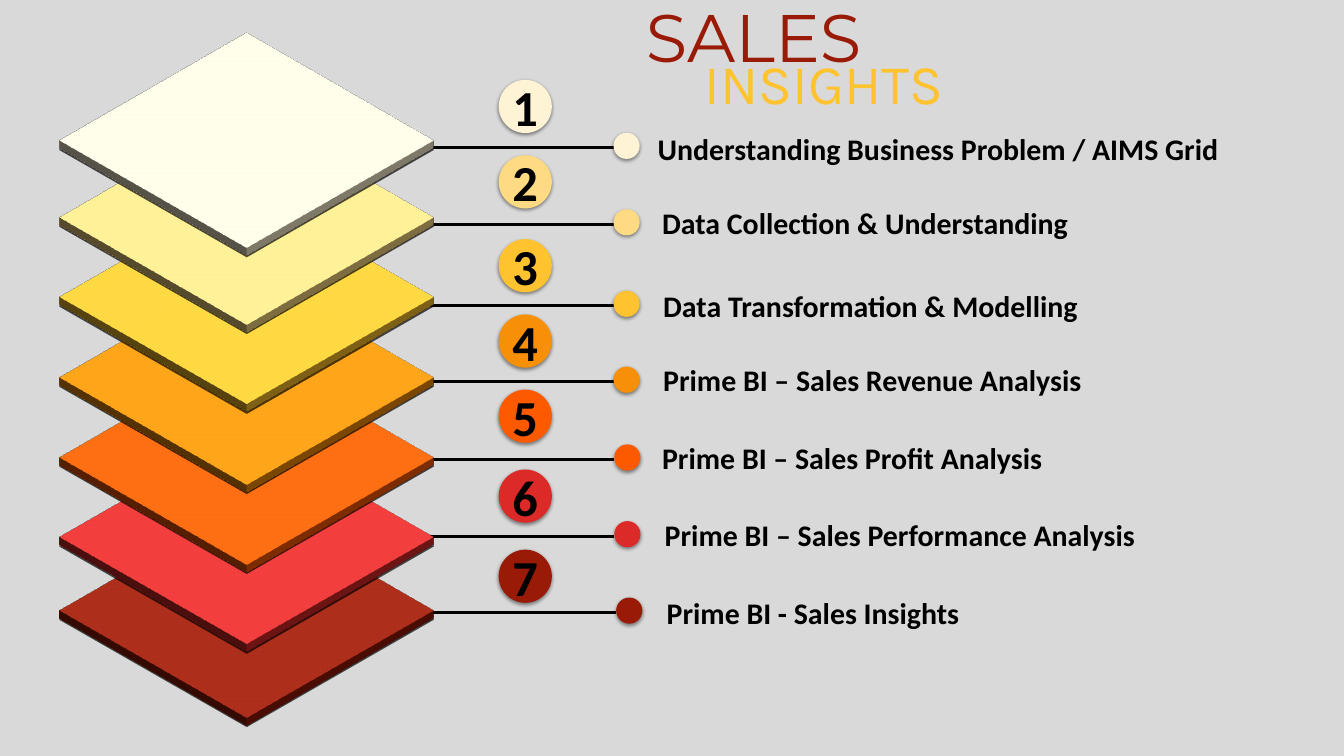
from dataclasses import dataclass
from lxml import etree
from pptx import Presentation
from pptx.dml.color import RGBColor
from pptx.enum.shapes import MSO_CONNECTOR, MSO_SHAPE
from pptx.enum.text import MSO_ANCHOR, MSO_AUTO_SIZE, PP_ALIGN
from pptx.oxml.ns import qn
from pptx.util import Cm, Pt

RECT, OVAL = MSO_SHAPE.RECTANGLE, MSO_SHAPE.OVAL
STRAIGHT = MSO_CONNECTOR.STRAIGHT
MIDDLE, CENTER = MSO_ANCHOR.MIDDLE, PP_ALIGN.CENTER
NO_FIT = MSO_AUTO_SIZE.NONE


@dataclass(frozen=True)
class Theme:
    back: str = "D9D9D9"
    ink: str = "000000"
    red: str = "981A07"
    gold: str = "FEC32E"
    body: str = "Calibri"
    label: int = 32
    number: int = 54
    sales: int = 72
    insights: int = 60


@dataclass(frozen=True)
class Step:
    """One layer of the stack; all lengths are in centimetres."""
    text: str
    color: str
    tile: float
    line: float
    dot: float
    badge: float
    left: float
    top: float
    width: float


THEME = Theme()
STEPS = [
    Step("Understanding Business Problem / AIMS Grid", "FFF3D5",
         0.3, 5.59, 23.19, 3.02, 23.77, 4.45, 23.39),
    Step("Data Collection & Understanding", "FEDB82",
         3.2, 8.48, 23.19, 5.87, 24.82, 7.26, 15.77),
    Step("Data Transformation & Modelling", THEME.gold,
         6.22, 11.56, 23.19, 9.04, 24.82, 10.39, 16.18),
    Step("Prime BI – Sales Revenue Analysis", "F79006",
         9.25, 14.43, 23.19, 11.89, 24.89, 13.21, 16.18),
    Step("Prime BI – Sales Profit Analysis", "FD5A00",
         12.27, 17.37, 23.22, 14.73, 25.07, 16.13, 14.3),
    Step("Prime BI – Sales Performance Analysis", "DC2A29",
         15.29, 20.27, 23.22, 17.75, 25.07, 19.05, 17.91),
    Step("Prime BI - Sales Insights", THEME.red,
         18.06, 23.16, 23.29, 20.78, 25.07, 22.0, 11.33),
]
EDGE = 15.8
TILE_X, TILE = 4.32, 10.01
BADGE_X, BADGE, NUMBER = 18.85, 2.01, 2.74
DOT, LABEL = 0.99, 2.31


def add_node(parent, tag: str, **attrs):
    return etree.SubElement(parent, qn(tag), attrs)


def add_shadow(effects, blur: int, dist: int, angle: int) -> None:
    """Blur and distance are in points, the angle in degrees."""
    node = add_node(effects, "a:outerShdw", blurRad=str(Pt(blur)),
                    dist=str(Pt(dist)), dir=str(angle * 60000),
                    algn="ctr", rotWithShape="0")
    color = add_node(node, "a:srgbClr", val=THEME.ink)
    add_node(color, "a:alpha", val="43000")


def add_shape(shapes, kind, x: float, y: float, size: float, color: str):
    shape = shapes.add_shape(kind, Cm(x), Cm(y), Cm(size), Cm(size))
    shape.fill.solid()
    shape.fill.fore_color.rgb = RGBColor.from_string(color)
    shape.line.fill.background()
    shape.shadow.inherit = False
    add_shadow(shape._element.spPr.find(qn("a:effectLst")), 4, 2, 90)
    return shape


def add_tile(shapes, step: Step) -> None:
    """Turn a square into a flat isometric slab."""
    props = add_shape(shapes, RECT, TILE_X, step.tile, TILE,
                      step.color)._element.spPr
    scene = add_node(props, "a:scene3d")
    add_node(scene, "a:camera", prst="isometricTopUp")
    add_node(scene, "a:lightRig", rig="threePt", dir="t")
    add_node(props, "a:sp3d", extrusionH=str(Cm(0.36)))


def add_line(shapes, step: Step) -> None:
    line = shapes.add_connector(STRAIGHT, Cm(EDGE), Cm(step.line),
                                Cm(step.dot), Cm(step.line))
    line.line.color.rgb = RGBColor.from_string(THEME.ink)
    line.line.width = Pt(3)
    add_node(line._element.spPr, "a:effectLst")


def set_text(box, text: str, font: str, size: int, color: str,
             bold: bool = False, wrap: bool = True) -> None:
    frame = box.text_frame
    frame.auto_size = NO_FIT
    frame.word_wrap = wrap
    frame.vertical_anchor = MIDDLE
    para = frame.paragraphs[0]
    para.alignment = CENTER
    para.add_run().text = text
    para.font.name, para.font.size, para.font.bold = font, Pt(size), bold
    para.font.color.rgb = RGBColor.from_string(color)


def add_text(shapes, text: str, x: float, y: float, width: float,
             height: float, size: int) -> None:
    """Add bold text with a soft shadow on its letters."""
    box = shapes.add_textbox(Cm(x), Cm(y), Cm(width), Cm(height))
    set_text(box, text, THEME.body, size, THEME.ink, True, False)
    frame = box.text_frame
    frame.margin_left = frame.margin_right = Cm(0.38)
    frame.margin_top = frame.margin_bottom = Cm(0.2)
    props = frame.paragraphs[0].runs[0]._r.get_or_add_rPr()
    add_shadow(add_node(props, "a:effectLst"), 4, 4, 45)


def add_badge(shapes, step: Step, number: int) -> None:
    group = shapes.add_group_shape().shapes
    add_shape(group, OVAL, BADGE_X, step.badge, BADGE, step.color)
    gap = (NUMBER - BADGE) / 2
    add_text(group, str(number), BADGE_X - gap, step.badge - gap,
             NUMBER, NUMBER, THEME.number)


def add_title(shapes) -> None:
    title = shapes.title
    title.left, title.top = Cm(19.48), Cm(-0.94)
    title.width, title.height = Cm(18.01), Cm(4.6)
    set_text(title, "SALES", "Montserrat", THEME.sales, THEME.red)
    box = shapes.add_textbox(Cm(24.49), Cm(1.3), Cm(13.31), Cm(3.61))
    set_text(box, "INSIGHTS", "Karla", THEME.insights, THEME.gold)


def main() -> None:
    deck = Presentation()
    deck.slide_width, deck.slide_height = Cm(50.8), Cm(28.58)
    slide = deck.slides.add_slide(deck.slide_layouts.get_by_name("Title Only"))
    slide.background.fill.solid()
    slide.background.fill.fore_color.rgb = RGBColor.from_string(THEME.back)
    shapes = slide.shapes
    for step in STEPS:
        add_line(shapes, step)
    for step in reversed(STEPS):
        add_tile(shapes, step)
    for number, step in enumerate(STEPS, 1):
        add_shape(shapes, OVAL, step.dot, step.line - 0.57, DOT, step.color)
        add_text(shapes, step.text, step.left, step.top, step.width,
                 LABEL, THEME.label)
        add_badge(shapes, step, number)
    add_title(shapes)
    deck.save("out.pptx")


if __name__ == "__main__":
    main()
